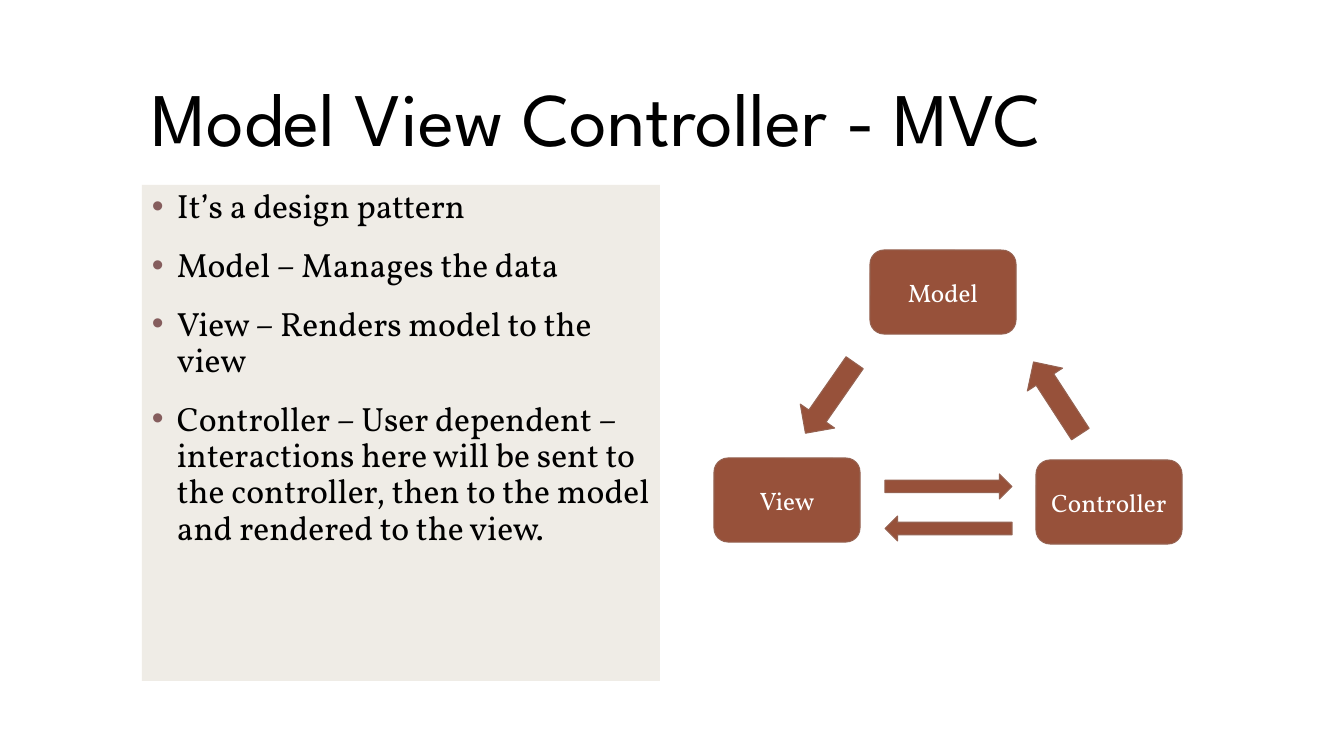
from pptx import Presentation
from pptx.dml.color import RGBColor
from pptx.enum.shapes import MSO_SHAPE
from pptx.enum.text import MSO_ANCHOR, PP_ALIGN
from pptx.oxml.ns import qn
from pptx.util import Pt
from lxml import etree

ROUNDED = MSO_SHAPE.ROUNDED_RECTANGLE
ARROW = MSO_SHAPE.RIGHT_ARROW
MIDDLE, BOTTOM = MSO_ANCHOR.MIDDLE, MSO_ANCHOR.BOTTOM
CENTER = PP_ALIGN.CENTER

BLACK = RGBColor(0x00, 0x00, 0x00)
WHITE = RGBColor(0xFF, 0xFF, 0xFF)
SAND = RGBColor(0xE9, 0xE5, 0xDC)
RUST = RGBColor(0x97, 0x51, 0x3A)
OUTLINE = RGBColor(0x95, 0x62, 0x51)
BULLET = RGBColor(0x85, 0x5D, 0x5D)

HEADING_FONT, BODY_FONT = "League Spartan", "Vollkorn"
EMU_PER_PIXEL = 914400 / 100.8

POINTS = [
    "It’s a design pattern",
    "Model – Manages the data",
    "View – Renders model to the view",
    "Controller – User dependent – interactions here will be sent to "
    "the controller, then to the model and rendered to the view.",
]
NODES = [("Model", 156, 0), ("View", 0, 208), ("Controller", 322, 210)]
ARROWS = [
    (73, 127, 86, 42, 124.9),
    (300, 127, 86, 42, 237),
    (171, 224, 127, 25, 0),
    (171, 266, 127, 25, 180),
]


def px(*pixels):
    """Turn pixels into a list of EMU lengths."""
    return [round(value * EMU_PER_PIXEL) for value in pixels]


def style_text(paragraph, font_name, size, color):
    """Format every run of a paragraph."""
    for run in paragraph.runs:
        run.font.name = font_name
        run.font.size = Pt(size)
        run.font.color.rgb = color


def add_bullet(paragraph):
    """Give a paragraph a coloured bullet with a hanging indent."""
    properties = paragraph._p.get_or_add_pPr()
    hang = px(25)[0]
    properties.set("marL", str(hang))
    properties.set("indent", str(-hang))
    color = etree.SubElement(properties, qn("a:buClr"))
    etree.SubElement(color, qn("a:srgbClr"), val=str(BULLET))
    etree.SubElement(properties, qn("a:buFont"), typeface="Arial")
    etree.SubElement(properties, qn("a:buChar"), char="•")


def add_title(slide, left, top, width, height):
    """Add the slide title, resting on the bottom of its box."""
    title = slide.shapes.add_textbox(*px(left, top, width, height))
    frame = title.text_frame
    frame.word_wrap = True
    frame.vertical_anchor = BOTTOM
    frame.text = "Model View Controller - MVC"
    frame.paragraphs[0].line_spacing = 0.9
    style_text(frame.paragraphs[0], HEADING_FONT, 54, BLACK)


def add_points(slide, left, top, width, height):
    """Add the bulleted list on its translucent sand panel."""
    panel = slide.shapes.add_textbox(*px(left, top, width, height))
    panel.fill.solid()
    panel.fill.fore_color.rgb = SAND
    color = panel._element.spPr.find(".//" + qn("a:srgbClr"))
    etree.SubElement(color, qn("a:alpha"), val="70000")
    frame = panel.text_frame
    frame.word_wrap = True
    frame.text = "\n".join(POINTS)
    for paragraph in frame.paragraphs:
        paragraph.line_spacing = 0.9
        paragraph.space_before = Pt(16)
        add_bullet(paragraph)
        style_text(paragraph, BODY_FONT, 24, BLACK)


def add_rust_shape(slide, kind, left, top, width, height):
    """Add a rust preset shape with a thin outline."""
    shape = slide.shapes.add_shape(kind, *px(left, top, width, height))
    shape.shadow.inherit = False
    shape.fill.solid()
    shape.fill.fore_color.rgb = RUST
    shape.line.color.rgb = OUTLINE
    shape.line.width = Pt(0.75)
    return shape


def add_cycle(slide, left, top):
    """Add the three MVC nodes and the arrows between them."""
    for label, x, y in NODES:
        node = add_rust_shape(slide, ROUNDED, left + x, top + y, 146, 84)
        frame = node.text_frame
        frame.word_wrap = False
        frame.vertical_anchor = MIDDLE
        frame.text = label
        frame.paragraphs[0].alignment = CENTER
        style_text(frame.paragraphs[0], BODY_FONT, 18, WHITE)
    for x, y, width, height, rotation in ARROWS:
        arrow = add_rust_shape(slide, ARROW, left + x, top + y, width, height)
        arrow.rotation = rotation


def main():
    """Build the slide and save the presentation."""
    presentation = Presentation()
    presentation.slide_width, presentation.slide_height = px(1344, 756)
    slide = presentation.slides.add_slide(presentation.slide_layouts[6])
    add_title(slide, 142, 42, 1126, 126)
    add_points(slide, 142, 185, 518, 496)
    add_cycle(slide, 714, 250)
    presentation.save("out.pptx")


main()
